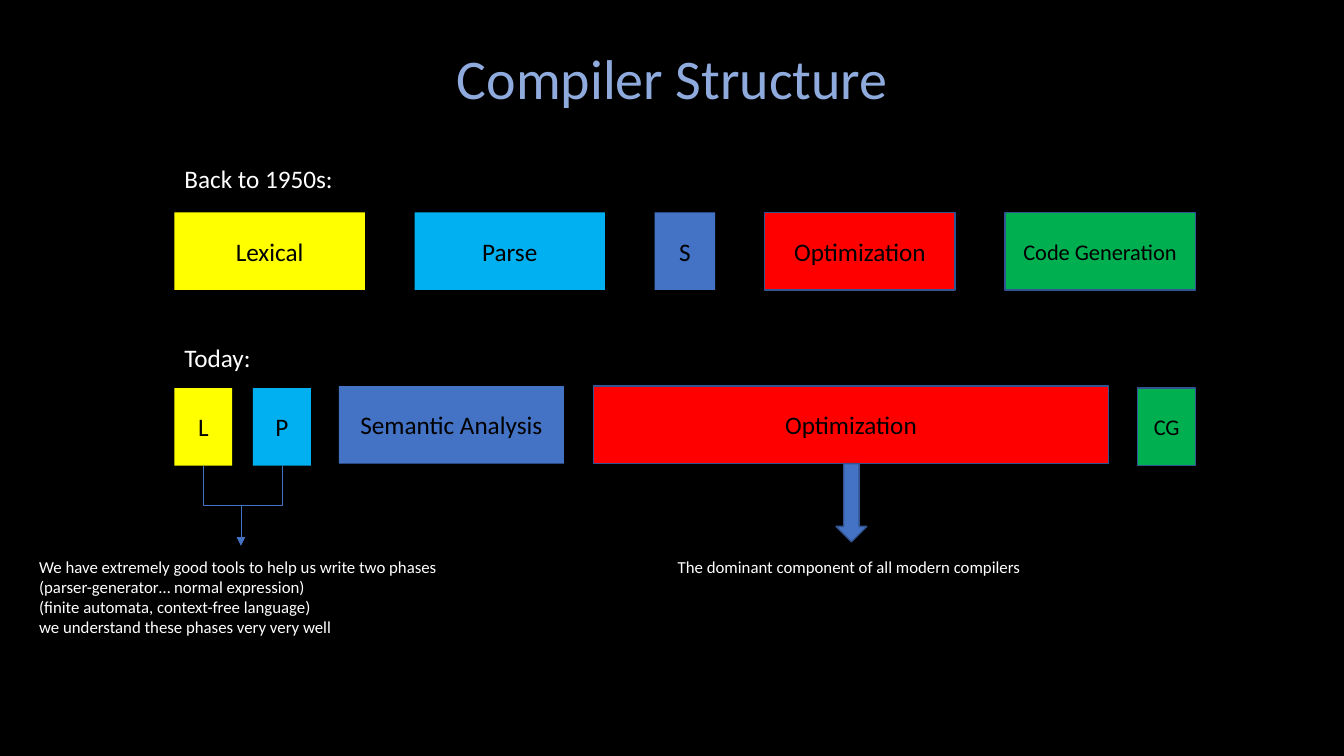
from pptx import Presentation
from pptx.dml.color import RGBColor
from pptx.enum import shapes, text
from pptx.oxml import ns
from pptx.util import Pt
from lxml import etree

BLACK = RGBColor(0x00, 0x00, 0x00)
WHITE = RGBColor(0xFF, 0xFF, 0xFF)
PALE_BLUE = RGBColor(0x8F, 0xAA, 0xDC)
YELLOW = RGBColor(0xFF, 0xFF, 0x00)
SKY = RGBColor(0x00, 0xB0, 0xF0)
BLUE = RGBColor(0x44, 0x72, 0xC4)
RED = RGBColor(0xFF, 0x00, 0x00)
GREEN = RGBColor(0x00, 0xB0, 0x50)
NAVY = RGBColor(0x32, 0x54, 0x91)

RECT = shapes.MSO_SHAPE.RECTANGLE
LEFT, CENTER = text.PP_ALIGN.LEFT, text.PP_ALIGN.CENTER


class Deck:
    """Holds the text style and the current slide."""

    font = "Calibri"

    def __init__(self, slide):
        """Take the slide and make its background black."""
        self.slide = slide
        fill = slide.background.fill
        fill.solid()
        fill.fore_color.rgb = BLACK

    def set_words(self, tf, words, size, color, align):
        """Fill a text frame and format its runs."""
        tf.text = words
        for p in tf.paragraphs:
            p.alignment = align
            for r in p.runs:
                r.font.name = self.font
                r.font.size = Pt(size)
                r.font.color.rgb = color

    def label(self, words, x, y, w, h, size, color=WHITE, align=LEFT, wrap=False):
        """Add a text box."""
        tf = self.slide.shapes.add_textbox(Pt(x), Pt(y), Pt(w), Pt(h)).text_frame
        tf.word_wrap = wrap
        self.set_words(tf, words, size, color, align)

    def block(self, x, y, w, h, fill, words="", size=18, line=None, kind=RECT):
        """Add a filled preset shape with centred text."""
        sp = self.slide.shapes.add_shape(kind, Pt(x), Pt(y), Pt(w), Pt(h))
        sp.shadow.inherit = False
        sp.fill.solid()
        sp.fill.fore_color.rgb = fill
        if line is None:
            sp.line.fill.background()
        else:
            sp.line.color.rgb = line
            sp.line.width = Pt(1)
        if words:
            sp.text_frame.vertical_anchor = text.MSO_ANCHOR.MIDDLE
            self.set_words(sp.text_frame, words, size, BLACK, CENTER)

    def elbow_down(self, x1, y1, x2, y2):
        """Add a bent arrow that leaves and arrives vertically."""
        # The elbow runs sideways by nature, so lay it flat and turn it.
        cx, cy = (x1 + x2) / 2, (y1 + y2) / 2
        side = 1 if x2 > x1 else -1
        half_w, half_h = side * (y2 - y1) / 2, abs(x2 - x1) / 2
        cn = self.slide.shapes.add_connector(
            shapes.MSO_CONNECTOR.ELBOW, Pt(cx + half_w), Pt(cy - half_h),
            Pt(cx - half_w), Pt(cy + half_h))
        cn.line.color.rgb = BLUE
        cn.line.width = Pt(0.5)
        sp_pr = cn._element.spPr
        turn = 270 if side > 0 else 90
        sp_pr.find(ns.qn("a:xfrm")).set("rot", str(turn * 60000))
        etree.SubElement(sp_pr.find(ns.qn("a:ln")), ns.qn("a:tailEnd"), type="triangle")
        etree.SubElement(sp_pr, ns.qn("a:effectLst"))


def main():
    """Build the compiler structure slide."""
    prs = Presentation()
    prs.slide_width, prs.slide_height = Pt(960), Pt(540)
    s = Deck(prs.slides.add_slide(prs.slide_layouts[6]))

    row_x, box_h = 124.6, 55.4
    s.label("Compiler Structure", 147.6, 27.4, 665.3, 55.4, 40,
            PALE_BLUE, CENTER, wrap=True)

    s.label("Back to 1950s:", row_x, 113, 121.7, 29, 18)
    wide, gap = 136, 35.5
    past = [
        ("Lexical", wide, YELLOW, 18, None),
        ("Parse", wide, SKY, 18, None),
        ("S", 43.2, BLUE, 18, None),
        ("Optimization", wide, RED, 18, NAVY),
        ("Code Generation", wide, GREEN, 16, NAVY),
    ]
    x = row_x
    for words, w, fill, size, line in past:
        s.block(x, 151.7, w, box_h, fill, words, size, line)
        x += w + gap

    s.label("Today:", row_x, 241.2, 62.6, 29, 18)
    small_y, large_y, small = 277.2, 275.8, 41.3
    lex_x, parse_x = row_x, 180.7
    today = [
        ("L", lex_x, small_y, small, YELLOW, 18, None),
        ("P", parse_x, small_y, small, SKY, 18, None),
        ("Semantic Analysis", 242, large_y, 160.8, BLUE, 18, None),
        ("Optimization", 424.1, large_y, 367.6, RED, 18, NAVY),
        ("CG", 812.7, small_y, small, GREEN, 16, NAVY),
    ]
    for words, x, y, w, fill, size, line in today:
        s.block(x, y, w, box_h, fill, words, size, line)

    for x in (lex_x, parse_x):
        s.elbow_down(x + small / 2, small_y + box_h, 172.1, 389.7)
    s.label("We have extremely good tools to help us write two phases\n"
            "(parser-generator… normal expression)\n"
            "(finite automata, context-free language)\n"
            "we understand these phases very very well",
            20.9, 393.8, 302.4, 65.5, 12)

    s.block(597.2, large_y + box_h, 22, 55.8, BLUE, line=NAVY,
            kind=shapes.MSO_SHAPE.DOWN_ARROW)
    s.label("The dominant component of all modern compilers",
            477, 394.2, 262, 21.8, 12)

    prs.save("out.pptx")


main()
